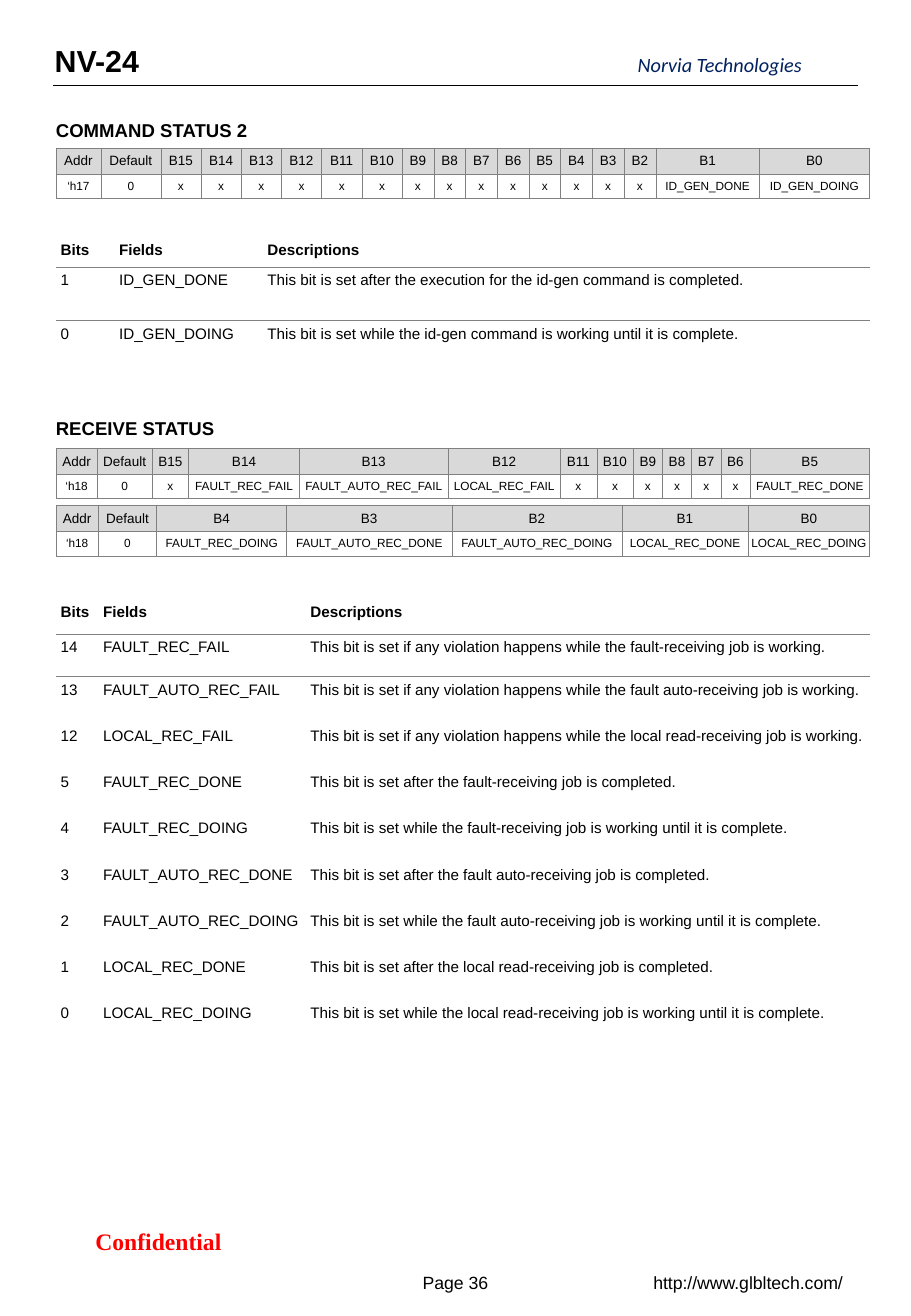
"""Build the status register page of a chip data sheet."""
from dataclasses import dataclass

from lxml.etree import SubElement
from pptx import Presentation
from pptx.dml.color import RGBColor
from pptx.enum.shapes import MSO_CONNECTOR
from pptx.enum.text import MSO_ANCHOR, PP_ALIGN
from pptx.oxml.ns import qn
from pptx.util import Inches, Pt

BLACK, GREY, SHADE = "000000", "808080", "D9D9D9"
LEFT, WIDTH = 0.46, 6.7
PLAIN = "{2D5ABB26-0587-4C30-8999-92F81FD0307C}"


@dataclass
class Style:
    size: float
    bold: bool = False
    slant: bool = False
    font: str = "Arial"
    tint: str = BLACK


@dataclass
class Label:
    text: str
    box: tuple[float, float, float, float]
    style: Style
    pads: tuple[float, float, float, float] = (0.1, 0.05, 0.1, 0.05)
    wrap: bool = False


@dataclass
class Bank:
    top: float
    addr: str
    high: int
    fields: list[str]
    widths: list[float]


@dataclass
class Legend:
    top: float
    widths: list[float]
    heights: list[float]
    rows: list[tuple[str, str, str]]
    align: PP_ALIGN


TITLE = Style(11, bold=True)
FOOT = Style(10.5)
HEAD_PADS = (0, 0.05, 0.1, 0.05)
LABELS = [
    Label("Page 36", (3.28, 10.38, 0.94, 0.34), FOOT, wrap=True),
    Label("http://www.glbltech.com/", (5.22, 10.38, 1.88, 0.34), FOOT, wrap=True),
    Label("Confidential", (0.34, 10.04, 1.93, 0.34),
          Style(14, bold=True, font="Times New Roman", tint="FF0000"), wrap=True),
    Label("Norvia Technologies", (5.25, 0.43, 1.6, 0.2),
          Style(12, slant=True, font="Calibri", tint="002060"), (0, 0, 0, 0)),
    Label("NV-24", (0.45, 0.3, 0.74, 0.4), Style(18, bold=True), (0, 0.05, 0, 0.05)),
    Label("COMMAND STATUS 2", (LEFT, 0.93, 1.72, 0.29), TITLE, HEAD_PADS),
    Label("RECEIVE STATUS", (LEFT, 3.38, 1.44, 0.29), TITLE, HEAD_PADS),
]
BANKS = [
    Bank(1.22, "‘h17", 15, ["x"] * 14 + ["ID_GEN_DONE", "ID_GEN_DOING"],
         [0.37, 0.49] + [0.33] * 6 + [0.26] * 8 + [0.85, 0.9]),
    Bank(3.69, "‘h18", 15,
         ["x", "FAULT_REC_FAIL", "FAULT_AUTO_REC_FAIL", "LOCAL_REC_FAIL"]
         + ["x"] * 6 + ["FAULT_REC_DONE"],
         [0.34, 0.45, 0.3, 0.91, 1.22, 0.92, 0.3, 0.3] + [0.24] * 4 + [0.98]),
    Bank(4.16, "‘h18", 4,
         ["FAULT_REC_DOING", "FAULT_AUTO_REC_DONE", "FAULT_AUTO_REC_DOING",
          "LOCAL_REC_DONE", "LOCAL_REC_DOING"],
         [0.35, 0.48, 1.07, 1.36, 1.4, 1.04, 1]),
]
LEGENDS = [
    Legend(1.92, [0.48, 1.22, 4.99], [0.28, 0.44, 0.34], [
        ("1", "ID_GEN_DONE",
         "This bit is set after the execution for the id-gen command is completed."),
        ("0", "ID_GEN_DOING",
         "This bit is set while the id-gen command is working until it is complete."),
    ], PP_ALIGN.JUSTIFY),
    Legend(4.85, [0.35, 1.71, 4.65], [0.37, 0.35] + [0.38] * 8, [
        ("14", "FAULT_REC_FAIL", "This bit is set if any violation happens "
         "while the fault-receiving job is working."),
        ("13", "FAULT_AUTO_REC_FAIL", "This bit is set if any violation happens "
         "while the fault auto-receiving job is working."),
        ("12", "LOCAL_REC_FAIL", "This bit is set if any violation happens "
         "while the local read-receiving job is working."),
        ("5", "FAULT_REC_DONE",
         "This bit is set after the fault-receiving job is completed."),
        ("4", "FAULT_REC_DOING",
         "This bit is set while the fault-receiving job is working until it is complete."),
        ("3", "FAULT_AUTO_REC_DONE",
         "This bit is set after the fault auto-receiving job is completed."),
        ("2", "FAULT_AUTO_REC_DOING", "This bit is set while the fault "
         "auto-receiving job is working until it is complete."),
        ("1", "LOCAL_REC_DONE",
         "This bit is set after the local read-receiving job is completed."),
        ("0", "LOCAL_REC_DOING", "This bit is set while the local "
         "read-receiving job is working until it is complete."),
    ], PP_ALIGN.LEFT),
]


def paint(target, tint: str) -> None:
    """Set a colour from its hex string."""
    target.rgb = RGBColor.from_string(tint)


def write(frame, text: str, style: Style, align: PP_ALIGN) -> None:
    """Add one styled run to the first paragraph."""
    para = frame.paragraphs[0]
    para.alignment = align
    run = para.add_run()
    run.text = text
    font = run.font
    font.name, font.size = style.font, Pt(style.size)
    font.bold, font.italic = style.bold, style.slant
    paint(font.color, style.tint)


def pad(target, pads: tuple[float, float, float, float]) -> None:
    """Set the left, top, right and bottom margins."""
    (target.margin_left, target.margin_top,
     target.margin_right, target.margin_bottom) = map(Inches, pads)


def edge(cell, sides: str, width: float) -> None:
    """Draw grey borders on the given cell sides."""
    props = cell._tc.get_or_add_tcPr()
    for side in sides:
        line = SubElement(props, qn(f"a:ln{side}"), w=str(Pt(width)))
        fill = SubElement(line, qn("a:solidFill"))
        SubElement(fill, qn("a:srgbClr"), val=GREY)


def add_grid(slide, top: float, widths: list[float], heights: list[float]):
    """Add a plain table stretched to the common width."""
    frame = slide.shapes.add_table(len(heights), len(widths), Inches(LEFT), Inches(top),
                                   Inches(WIDTH), Inches(sum(heights)))
    table = frame.table
    table.first_row = table.horz_banding = False
    table._tbl.tblPr.find(qn("a:tableStyleId")).text = PLAIN
    for col, width in zip(table.columns, widths):
        col.width = Inches(width * WIDTH / sum(widths))
    for row, height in zip(table.rows, heights):
        row.height = Inches(height)
    return table


def add_bank(slide, bank: Bank) -> None:
    """Draw a register as a row of bit names over a row of fields."""
    table = add_grid(slide, bank.top, bank.widths, [0.21, 0.2])
    names = [f"B{bank.high - step}" for step in range(len(bank.fields))]
    rows = [["Addr", "Default"] + names, [bank.addr, "0"] + bank.fields]
    for row, (texts, size) in enumerate(zip(rows, (8, 7))):
        for col, text in enumerate(texts):
            cell = table.cell(row, col)
            pad(cell, (0.02, 0.04, 0.02, 0.04))
            cell.vertical_anchor = MSO_ANCHOR.MIDDLE
            write(cell.text_frame, text, Style(size), PP_ALIGN.CENTER)
            edge(cell, "LRTB", 0.25)
            if row == 0:
                cell.fill.solid()
                paint(cell.fill.fore_color, SHADE)


def add_legend(slide, legend: Legend) -> None:
    """Draw the table that explains the bits of a register."""
    table = add_grid(slide, legend.top, legend.widths, legend.heights)
    rows = [("Bits", "Fields", "Descriptions")] + legend.rows
    for row, texts in enumerate(rows):
        for col, text in enumerate(texts):
            cell = table.cell(row, col)
            pad(cell, (0.04,) * 4)
            cell.vertical_anchor = MSO_ANCHOR.TOP if row else MSO_ANCHOR.MIDDLE
            align = legend.align if row and col == 2 else PP_ALIGN.LEFT
            write(cell.text_frame, text, Style(9, bold=row == 0), align)
            if row < 2:
                edge(cell, "BT"[row], 0.5)


def add_label(slide, label: Label) -> None:
    """Draw a text box; wrapped ones are centred."""
    frame = slide.shapes.add_textbox(*map(Inches, label.box)).text_frame
    frame.word_wrap = label.wrap
    frame.vertical_anchor = MSO_ANCHOR.MIDDLE if label.wrap else MSO_ANCHOR.TOP
    pad(frame, label.pads)
    write(frame, label.text, label.style, PP_ALIGN.CENTER if label.wrap else PP_ALIGN.LEFT)


def add_rule(slide) -> None:
    """Draw the line below the page header."""
    rule = slide.shapes.add_connector(MSO_CONNECTOR.STRAIGHT, *map(Inches, (0.44, 0.7, 7.06, 0.7)))
    rule.line.width = Pt(0.5)
    paint(rule.line.color, BLACK)
    SubElement(rule._element.spPr, qn("a:effectLst"))


def main() -> None:
    """Build the page and save it."""
    deck = Presentation()
    deck.slide_width, deck.slide_height = Inches(7.5), Inches(10.83)
    slide = deck.slides.add_slide(deck.slide_layouts[6])
    add_rule(slide)
    for label in LABELS:
        add_label(slide, label)
    for bank in BANKS:
        add_bank(slide, bank)
    for legend in LEGENDS:
        add_legend(slide, legend)
    deck.save("out.pptx")


if __name__ == "__main__":
    main()
